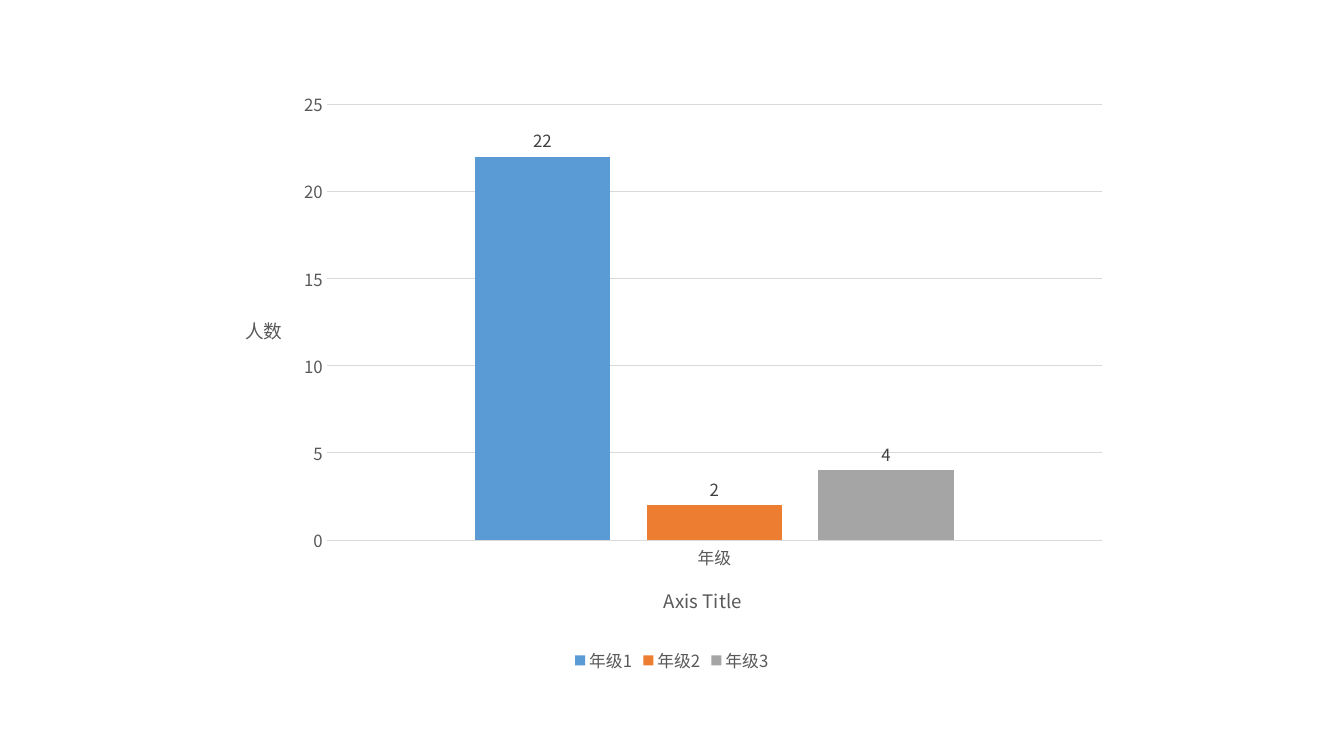
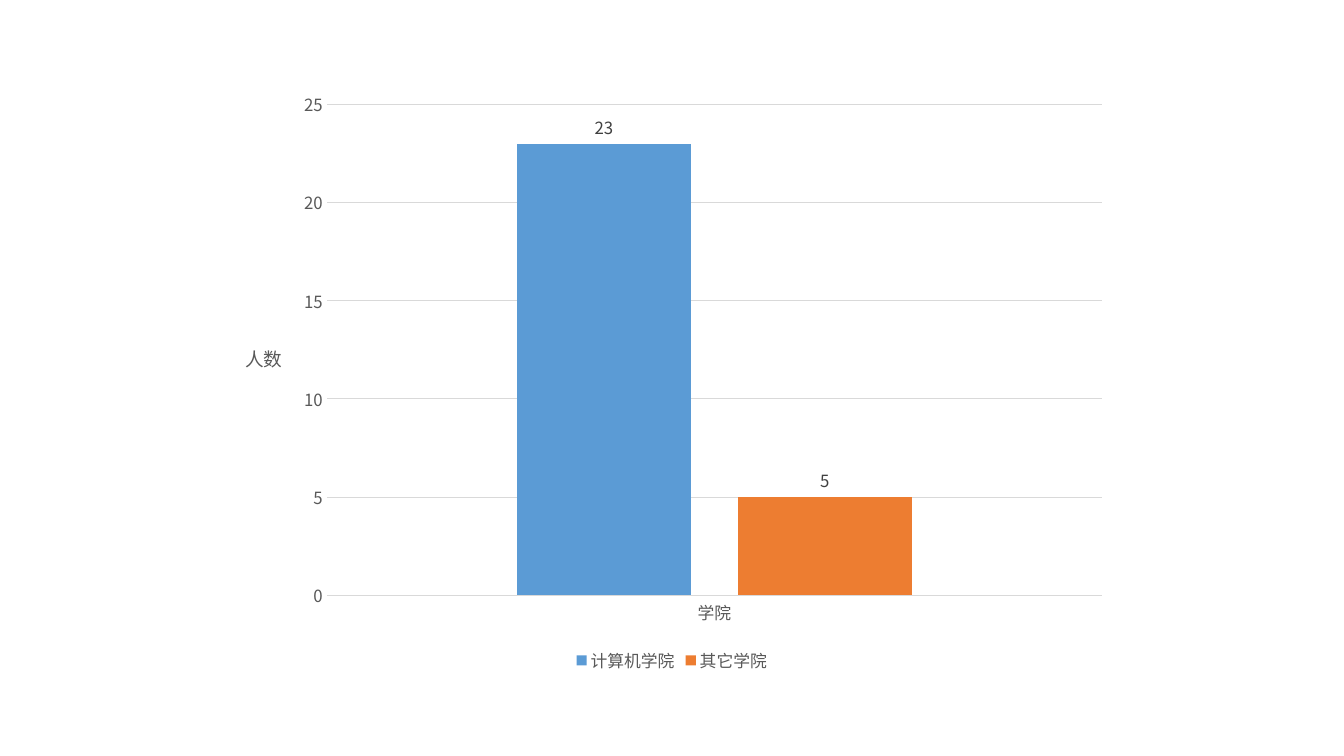
from lxml.etree import Element
from pptx import Presentation
from pptx.chart.data import CategoryChartData
from pptx.dml.color import RGBColor
from pptx.enum.chart import XL_CHART_TYPE, XL_LABEL_POSITION, XL_LEGEND_POSITION, XL_TICK_MARK
from pptx.oxml.ns import qn
from pptx.util import Cm, Pt

COLUMN = XL_CHART_TYPE.COLUMN_CLUSTERED
ABOVE = XL_LABEL_POSITION.OUTSIDE_END
BOTTOM = XL_LEGEND_POSITION.BOTTOM
NO_TICK = XL_TICK_MARK.NONE


def color(text):
    return RGBColor.from_string(text)


def assign(target, values):
    for name, value in values.items():
        setattr(target, name, value)


class Deck:
    face = "Noto Sans CJK SC"
    gray = "595959"
    dark = "404040"
    rule = "D9D9D9"
    fills = ("5B9BD5", "ED7D31", "A5A5A5")
    box = (Cm(5.64), Cm(2.01), Cm(22.58), Cm(15.05))

    def __init__(self):
        self.show = Presentation()
        assign(self.show, {"slide_width": Cm(33.87), "slide_height": Cm(19.05)})
        self.slide = None

    def page(self):
        self.slide = self.show.slides.add_slide(self.show.slide_layouts[6])

    def font(self, font, size=12, tone=gray):
        assign(font, {"name": self.face, "size": Pt(size), "bold": False})
        font.color.rgb = color(tone)

    def line(self, line):
        line.color.rgb = color(self.rule)
        line.width = Pt(0.75)

    def title(self, axis, text):
        frame = axis.axis_title.text_frame
        frame.text = text
        self.font(frame.paragraphs[0].runs[0].font, 13.3)
        body = next(axis.axis_title.format.line and frame._txBody.iter(qn("a:bodyPr")))
        body.set("rot", "0")

    def axes(self, chart, base, side):
        groups, counts = chart.category_axis, chart.value_axis
        for axis, text in ((groups, base), (counts, side)):
            assign(axis, {"major_tick_mark": NO_TICK, "minor_tick_mark": NO_TICK})
            self.font(axis.tick_labels.font)
            axis.has_title = bool(text)
            if text:
                self.title(axis, text)
        self.line(groups.format.line)
        assign(counts, {"minimum_scale": 0, "maximum_scale": 25, "major_unit": 5,
                        "has_major_gridlines": True})
        counts.format.line.fill.background()
        self.line(counts.major_gridlines.format.line)

    def bars(self, plot):
        assign(plot, {"gap_width": 219, "overlap": -27, "vary_by_categories": False})
        for bar, fill in zip(plot.series, self.fills):
            bar.format.fill.solid()
            bar.format.fill.fore_color.rgb = color(fill)
            labels = bar.data_labels
            assign(labels, {"show_value": True, "position": ABOVE})
            self.font(labels.font, tone=self.dark)

    def chart(self, group, counts, base=None):
        data = CategoryChartData()
        data.categories = [group]
        for name, count in counts.items():
            data.add_series(name, [count])
        chart = self.slide.shapes.add_chart(COLUMN, *self.box, data).chart
        assign(chart, {"has_title": False, "has_legend": True})
        self.font(chart.font, 10, "000000")
        assign(chart.legend, {"position": BOTTOM, "include_in_layout": False})
        self.font(chart.legend.font)
        self.axes(chart, base, "人数")
        self.bars(chart.plots[0])
        for latin in list(chart.element.iter(qn("a:latin"))):
            latin.addnext(Element(qn("a:ea"), typeface=self.face))


deck = Deck()
deck.page()
deck.chart("年级", {"年级1": 22, "年级2": 2, "年级3": 4}, "Axis Title")
deck.page()
deck.chart("学院", {"计算机学院": 23, "其它学院": 5})
deck.show.save("out.pptx")
